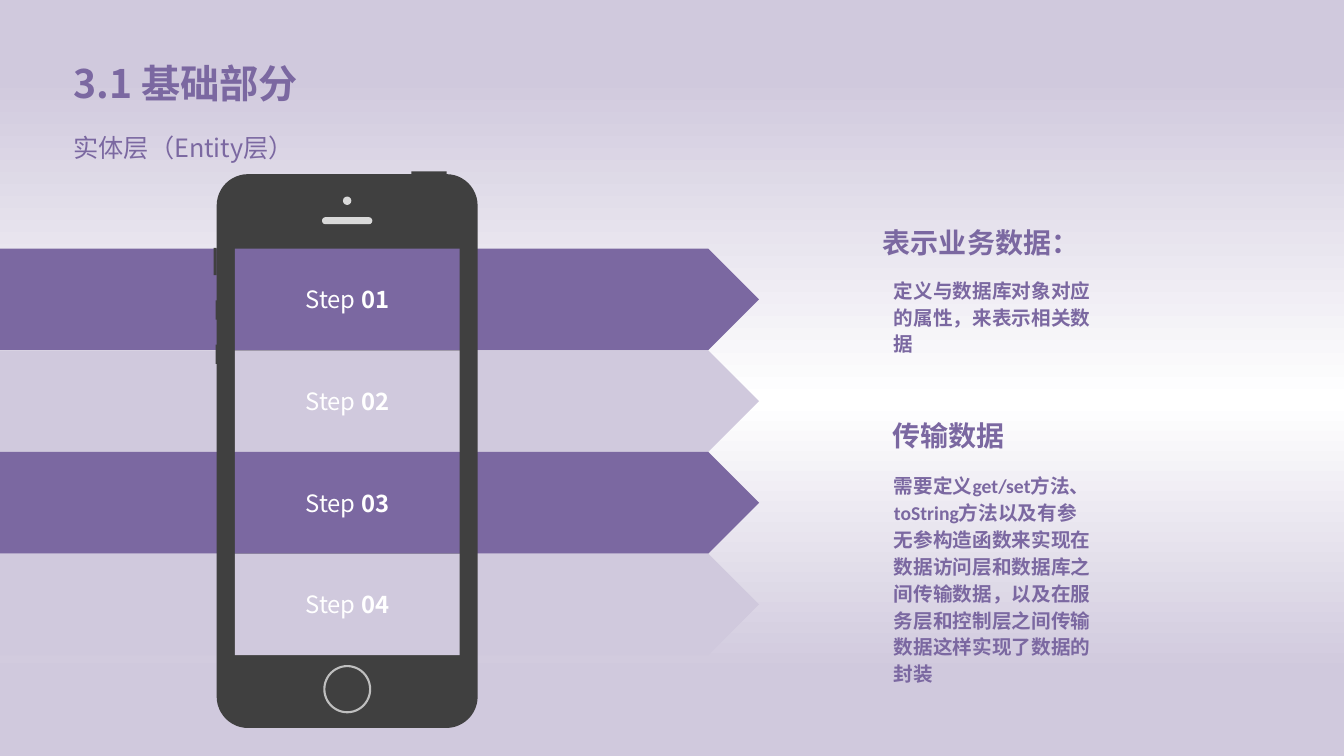
from copy import deepcopy
from dataclasses import dataclass

from lxml import etree
from pptx import Presentation
from pptx.dml.color import RGBColor
from pptx.enum.shapes import MSO_SHAPE
from pptx.enum.text import MSO_ANCHOR, MSO_AUTO_SIZE, PP_ALIGN
from pptx.oxml.ns import qn
from pptx.shapes.autoshape import Shape
from pptx.shapes.shapetree import _BaseGroupShapes
from pptx.slide import Slide
from pptx.text.text import _Paragraph
from pptx.util import Pt

RECT = MSO_SHAPE.RECTANGLE
ROUNDED = MSO_SHAPE.ROUNDED_RECTANGLE
OVAL = MSO_SHAPE.OVAL
PENTAGON = MSO_SHAPE.PENTAGON
TOP = MSO_ANCHOR.TOP
MIDDLE = MSO_ANCHOR.MIDDLE
FIT_SHAPE = MSO_AUTO_SIZE.SHAPE_TO_FIT_TEXT
LEFT = PP_ALIGN.LEFT
CENTER = PP_ALIGN.CENTER


@dataclass(frozen=True)
class Theme:
    purple: str = "7B68A1"
    lilac: str = "D0C9DD"
    white: str = "FFFFFF"
    casing: str = "404040"
    detail: str = "D9D9D9"
    ring: str = "BFBFBF"
    cjk: str = "Noto Sans CJK SC"
    title_size: float = 28
    heading_size: float = 20
    subtitle_size: float = 18
    step_size: float = 17
    body_size: float = 14


THEME = Theme()


@dataclass(frozen=True)
class Box:
    left: float
    top: float
    width: float
    height: float

    def points(self) -> tuple[Pt, Pt, Pt, Pt]:
        return Pt(self.left), Pt(self.top), Pt(self.width), Pt(self.height)


@dataclass(frozen=True)
class Part:
    box: Box
    fill: str | None = THEME.casing
    preset: MSO_SHAPE = RECT
    line: str | None = None
    line_width: float = 0.75
    rounding: float | None = None


@dataclass(frozen=True)
class Passage:
    text: str
    box: Box
    size: float
    bold: bool = True
    latin: str = THEME.cjk
    spacing: float = 1.0
    inset_x: float = 5
    inset_y: float = 3


BAND_TOP, BAND_HEIGHT, STEP_COUNT = 177.6, 72.6, 4
SCREEN_LEFT, SCREEN_WIDTH = 167.8, 160.6

TITLE = Passage("3.1 基础部分", Box(45.4, 38.9, 293, 41), THEME.title_size,
                inset_x=7.2, inset_y=3.6)

PASSAGES = [
    Passage("实体层（Entity层）", Box(45.4, 79.9, 342.7, 36), THEME.subtitle_size,
            bold=False, spacing=1.5, inset_x=7.2, inset_y=3.6),
    Passage("表示业务数据：", Box(625.7, 158.4, 228.2, 29.5), THEME.heading_size),
    Passage("定义与数据库对象对应的属性，来表示相关数据",
            Box(633.6, 193.7, 154.1, 61.9), THEME.body_size, spacing=1.14),
    Passage("传输数据", Box(632.2, 295.9, 228.2, 29.5), THEME.heading_size,
            latin="Arial"),
    Passage("需要定义get/set方法、toString方法以及有参无参构造函数来实现在数据访问层和"
            "数据库之间传输数据，以及在服务层和控制层之间传输数据这样实现了数据的封装",
            Box(633.6, 333.4, 154.1, 159.1), THEME.body_size,
            latin="Calibri", spacing=1.14),
]

PHONE = [
    Part(Box(154.8, 124.4, 186.4, 395.6), preset=ROUNDED, rounding=0.12),
    Part(Box(152.6, 177.1, 2.2, 19.4)),
    Part(Box(154, 214.6, 2.2, 13.7)),
    Part(Box(154, 246.2, 2.2, 13.7)),
    Part(Box(231.7, 475.8, 32.7, 33), None, OVAL, THEME.ring, 1.5),
    Part(Box(SCREEN_LEFT, BAND_TOP, SCREEN_WIDTH, STEP_COUNT * BAND_HEIGHT)),
    Part(Box(230.4, 155.5, 35.2, 4.3), THEME.detail, ROUNDED, THEME.detail,
         rounding=0.5),
    Part(Box(245, 140.4, 6, 6), THEME.detail, OVAL),
    Part(Box(293.8, 122.4, 25.2, 5)),
]


def rgb(value: str) -> RGBColor:
    return RGBColor.from_string(value)


def paint_background(slide: Slide) -> None:
    fill = slide.background.fill
    fill.gradient()
    fill.gradient_angle = 270
    stop_list = slide.element.find(".//" + qn("a:gsLst"))
    stop_list.append(deepcopy(stop_list[-1]))
    stops = [(0.1, THEME.lilac), (0.53, THEME.white), (0.89, THEME.lilac)]
    for stop, (position, color) in zip(fill.gradient_stops, stops):
        stop.position = position
        stop.color.rgb = rgb(color)


def draw_part(shapes: _BaseGroupShapes, part: Part) -> Shape:
    shape = shapes.add_shape(part.preset, *part.box.points())
    shape.shadow.inherit = False
    if part.rounding is not None:
        shape.adjustments[0] = part.rounding
    if part.fill:
        shape.fill.solid()
        shape.fill.fore_color.rgb = rgb(part.fill)
    else:
        shape.fill.background()
    if part.line:
        shape.line.color.rgb = rgb(part.line)
        shape.line.width = Pt(part.line_width)
    else:
        shape.line.fill.background()
    return shape


def style_paragraph(paragraph: _Paragraph, size: float, color: str,
                    latin: str = THEME.cjk, bold: bool | None = None) -> None:
    font = paragraph.font
    font.size = Pt(size)
    font.bold = bold
    font.color.rgb = rgb(color)
    font.name = latin
    defaults = paragraph._p.find(".//" + qn("a:defRPr"))
    etree.SubElement(defaults, qn("a:ea")).set("typeface", THEME.cjk)


def write_passage(holder: Shape, passage: Passage) -> None:
    holder.left, holder.top, holder.width, holder.height = passage.box.points()
    frame = holder.text_frame
    frame.word_wrap = True
    frame.auto_size = FIT_SHAPE
    frame.vertical_anchor = TOP
    frame.margin_left = frame.margin_right = Pt(passage.inset_x)
    frame.margin_top = frame.margin_bottom = Pt(passage.inset_y)
    frame.text = passage.text
    paragraph = frame.paragraphs[0]
    paragraph.alignment = LEFT
    paragraph.line_spacing = passage.spacing
    style_paragraph(paragraph, passage.size, THEME.purple, passage.latin, passage.bold)


def draw_bands(slide: Slide, left: float, width: float,
               preset: MSO_SHAPE = RECT) -> list[Shape]:
    return [
        draw_part(slide.shapes, Part(
            Box(left, BAND_TOP + index * BAND_HEIGHT, width, BAND_HEIGHT),
            (THEME.purple, THEME.lilac)[index % 2], preset))
        for index in range(STEP_COUNT)
    ]


def label_step(band: Shape, number: int) -> None:
    frame = band.text_frame
    frame.vertical_anchor = MIDDLE
    paragraph = frame.paragraphs[0]
    paragraph.alignment = CENTER
    style_paragraph(paragraph, THEME.step_size, THEME.white)
    paragraph.add_run().text = "Step "
    step_number = paragraph.add_run()
    step_number.text = f"{number:02d}"
    step_number.font.bold = True


def main() -> None:
    deck = Presentation()
    deck.slide_width, deck.slide_height = Pt(960), Pt(540)
    slide = deck.slides.add_slide(deck.slide_layouts[5])
    paint_background(slide)
    write_passage(slide.shapes.title, TITLE)
    draw_bands(slide, -9.4, 349.6)
    draw_bands(slide, 340, 202.2, PENTAGON)
    phone = slide.shapes.add_group_shape()
    for part in PHONE:
        draw_part(phone.shapes, part)
    for number, band in enumerate(draw_bands(slide, SCREEN_LEFT, SCREEN_WIDTH), 1):
        label_step(band, number)
    for passage in PASSAGES:
        write_passage(slide.shapes.add_textbox(*passage.box.points()), passage)
    deck.save("out.pptx")


if __name__ == "__main__":
    main()
